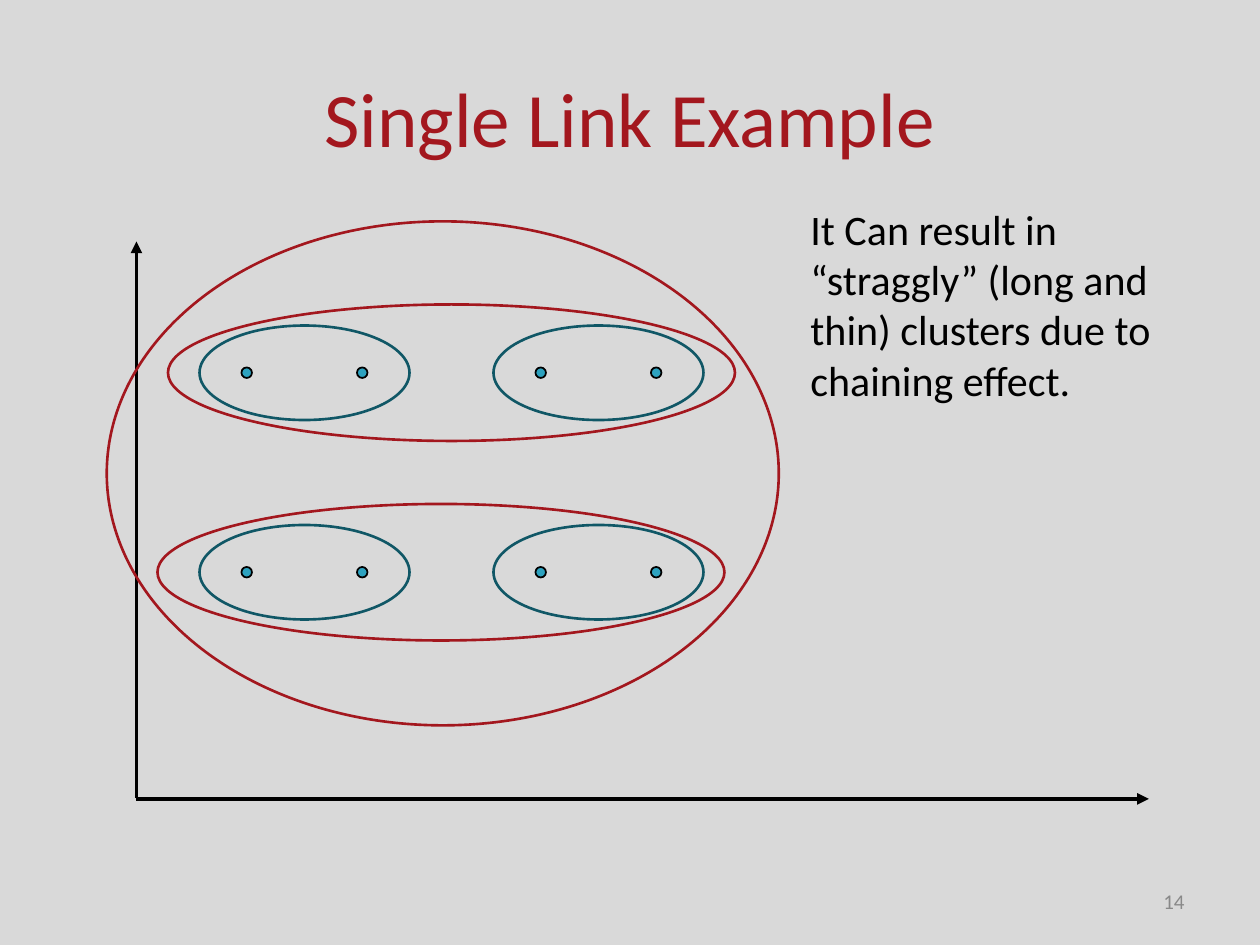
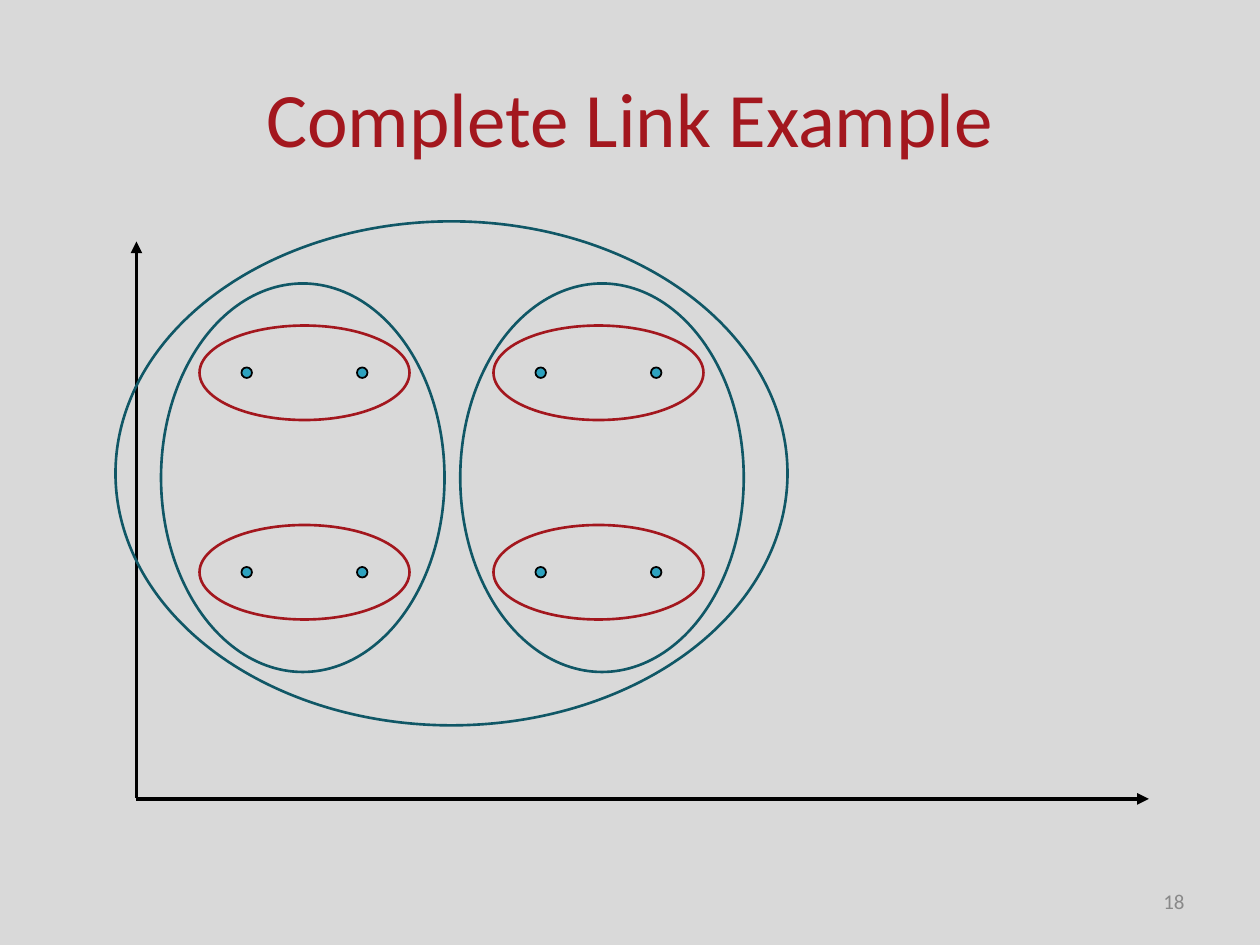
from itertools import product

from lxml import etree
from pptx import Presentation
from pptx.dml import color
from pptx.enum import shapes, text
from pptx.oxml import ns
from pptx.util import Pt

RED, TEAL, BLUE = "A3171E", "105766", "2DA2BF"
BLACK, GREY, BACKGROUND = "000000", "898989", "D9D9D9"
FONT = "Calibri"


def rgb(value):
    return color.RGBColor.from_string(value)


def add_text(slide, box, words, size, ink, align, anchor):
    shape = slide.shapes.add_textbox(*map(Pt, box))
    frame = shape.text_frame
    frame.word_wrap = True
    frame.vertical_anchor = anchor
    paragraph = frame.paragraphs[0]
    paragraph.text = words
    paragraph.alignment = align
    paragraph.font.name = FONT
    paragraph.font.size = Pt(size)
    paragraph.font.color.rgb = rgb(ink)


# Shared diagram geometry: (left, top, width, height) in points
axes = [(78, 456, 78, 138), (78, 456.5, 656.5, 456.5)]
dots = [(x, y, 6, 6) for x, y in product((138, 204, 306, 372), (210, 324))]
pairs = [(x, y, 120, 54) for x, y in product((114, 282), (186, 300))]

# What differs: title, page number, pair colour, merged colour, merged clusters, note
examples = [
    ("Single Link Example", "14", TEAL, RED,
     [(96, 174, 324, 78), (90, 288, 324, 78), (61, 126.5, 384, 288)],
     "It Can result in “straggly” (long and thin) clusters due to chaining effect."),
    ("Complete Link Example", "18", RED, TEAL,
     [(92, 162, 162, 222), (263, 162, 162, 222), (66, 126.5, 384, 288)],
     None),
]

presentation = Presentation()
presentation.slide_width, presentation.slide_height = Pt(720), Pt(540)

for title, number, pair_color, merged_color, merged, note in examples:
    slide = presentation.slides.add_slide(presentation.slide_layouts[6])
    slide.background.fill.solid()
    slide.background.fill.fore_color.rgb = rgb(BACKGROUND)

    # Page number and title
    add_text(slide, (516, 500.5, 168, 28.75), number, 12, GREY,
             text.PP_ALIGN.RIGHT, text.MSO_ANCHOR.MIDDLE)
    add_text(slide, (36, 21.6, 648, 90), title, 44, RED,
             text.PP_ALIGN.CENTER, text.MSO_ANCHOR.MIDDLE)

    # Axes with arrowheads
    for ends in axes:
        axis = slide.shapes.add_connector(shapes.MSO_CONNECTOR.STRAIGHT, *map(Pt, ends))
        axis.line.color.rgb = rgb(BLACK)
        axis.line.width = Pt(2.25)
        etree.SubElement(axis.line._get_or_add_ln(), ns.qn("a:tailEnd"), type="triangle")
        etree.SubElement(axis._element.spPr, ns.qn("a:effectLst"))

    # Data points, then the clusters from small to large
    ovals = [(box, BLUE, BLACK, 1) for box in dots]
    ovals += [(box, None, pair_color, 1.5) for box in pairs]
    ovals += [(box, None, merged_color, 1.5) for box in merged]
    for box, fill, outline, width in ovals:
        oval = slide.shapes.add_shape(shapes.MSO_SHAPE.OVAL, *map(Pt, box))
        oval.shadow.inherit = False
        if fill:
            oval.fill.solid()
            oval.fill.fore_color.rgb = rgb(fill)
        else:
            oval.fill.background()
        oval.line.color.rgb = rgb(outline)
        oval.line.width = Pt(width)

    # Side note
    if note:
        add_text(slide, (456, 112.5, 234, 123.75), note, 24, BLACK,
                 text.PP_ALIGN.LEFT, text.MSO_ANCHOR.TOP)

presentation.save("out.pptx")
